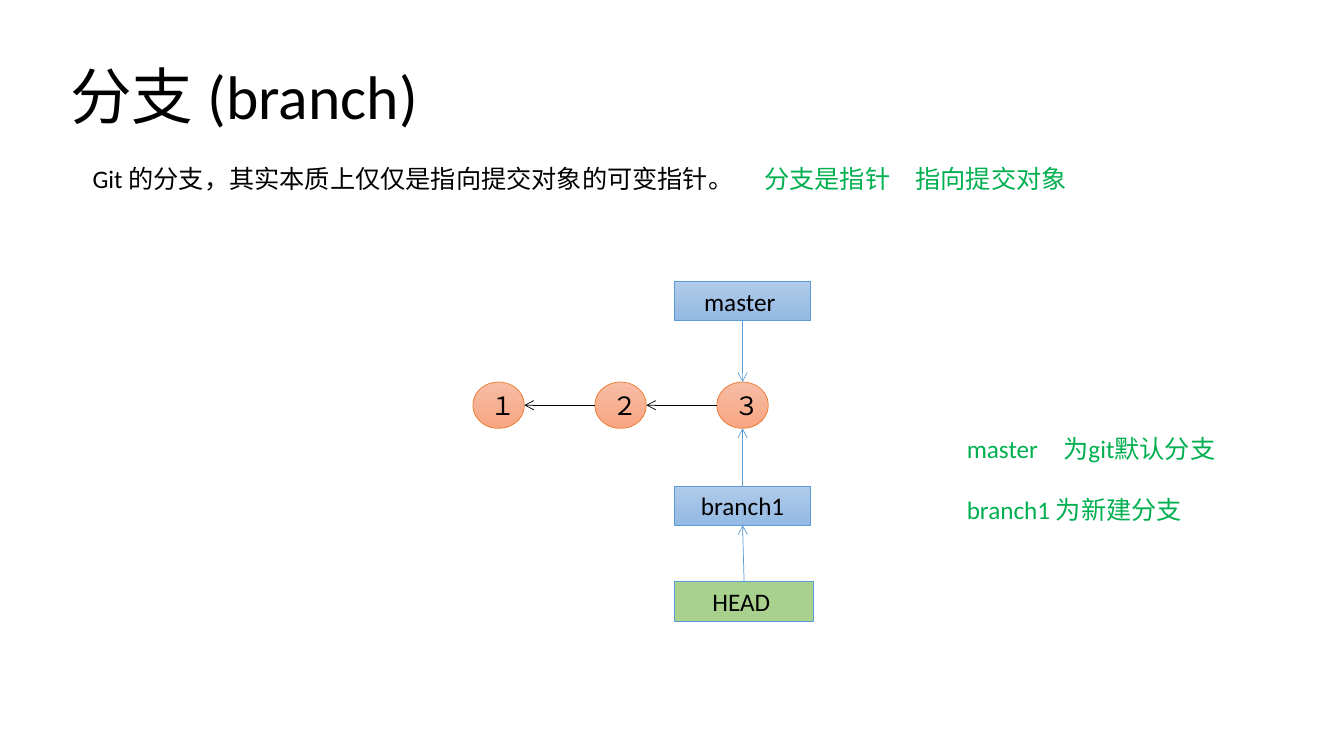
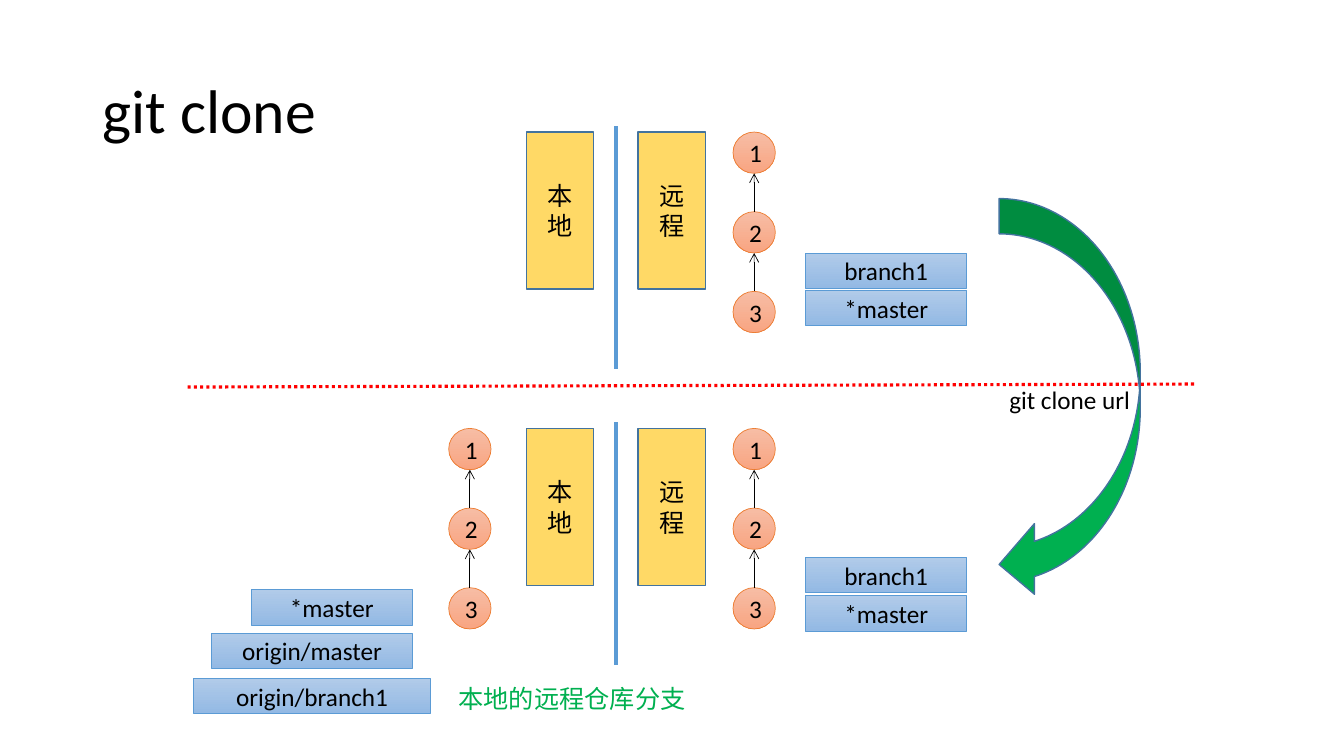
"""Build two slides that explain git branches and git clone."""

from dataclasses import dataclass
from typing import NamedTuple

from lxml.etree import SubElement
from pptx import Presentation
from pptx.dml.color import RGBColor
from pptx.enum.dml import MSO_LINE
from pptx.enum.shapes import MSO_CONNECTOR, MSO_SHAPE
from pptx.enum.text import MSO_ANCHOR, PP_ALIGN
from pptx.oxml.ns import qn
from pptx.slide import Slide
from pptx.util import Inches, Pt


class Look(NamedTuple):
    """Outline shape, fill colours and border of a kind of box."""

    outline: MSO_SHAPE
    fill: tuple[str, ...]
    border: str
    weight: float


class Stroke(NamedTuple):
    """Colour, weight and ending of a line."""

    color: str
    weight: float
    arrow: bool = True
    dash: MSO_LINE | None = None


class Phrase(NamedTuple):
    """Words in one colour."""

    words: str
    color: str


@dataclass(frozen=True)
class Theme:
    """Colours, type sizes and looks shared by the slides."""

    font: str = "Calibri"
    title_size: float = 44
    body_size: float = 18
    text: str = "000000"
    note: str = "00B050"
    commit: Look = Look(MSO_SHAPE.OVAL, ("F7BDA5", "F8A582"), "ED7D31", 0.5)
    branch: Look = Look(MSO_SHAPE.RECTANGLE, ("B1CBE9", "93B9E4"), "5B9BD5", 0.5)
    head: Look = Look(MSO_SHAPE.RECTANGLE, ("A9D18E",), "5B9BD5", 0.5)
    place: Look = Look(MSO_SHAPE.RECTANGLE, ("FFD966",), "43739E", 1)
    clone: Look = Look(MSO_SHAPE.CURVED_LEFT_ARROW, ("00B050",), "43739E", 1)
    parent: Stroke = Stroke("000000", 0.5)
    pointer: Stroke = Stroke("5B9BD5", 0.5)
    wall: Stroke = Stroke("5B9BD5", 3, arrow=False)
    divider: Stroke = Stroke("FF0000", 2.25, arrow=False, dash=MSO_LINE.ROUND_DOT)


THEME = Theme()


@dataclass(frozen=True)
class Box:
    """A labelled box, measured in inches."""

    label: str
    left: float
    top: float
    width: float
    height: float
    look: Look

    @property
    def center(self) -> float:
        """Give the horizontal centre."""
        return self.left + self.width / 2

    @property
    def middle(self) -> float:
        """Give the vertical centre."""
        return self.top + self.height / 2

    @property
    def bottom(self) -> float:
        """Give the lower edge."""
        return self.top + self.height


def apply_format(target, values: dict) -> None:
    """Set each named attribute on the target."""
    for attribute, value in values.items():
        setattr(target, attribute, value)


def add_phrase(paragraph, phrase: Phrase, size: float) -> None:
    """Append a coloured run to the paragraph."""
    run = paragraph.add_run()
    run.text = phrase.words
    apply_format(run.font, {"name": THEME.font, "size": Pt(size)})
    run.font.color.rgb = RGBColor.from_string(phrase.color)


def draw_text(slide: Slide, left: float, top: float, width: float, height: float,
              lines: list[list[Phrase]], size: float = THEME.body_size,
              anchor: MSO_ANCHOR = MSO_ANCHOR.TOP, spacing: float = 1.0) -> None:
    """Draw lines of text, with one line's gap between them."""
    frame = slide.shapes.add_textbox(
        Inches(left), Inches(top), Inches(width), Inches(height)).text_frame
    apply_format(frame, {"word_wrap": True, "vertical_anchor": anchor})
    for index, line in enumerate(lines):
        paragraph = frame.add_paragraph() if index else frame.paragraphs[0]
        paragraph.line_spacing = spacing
        if index:
            paragraph.space_before = Pt(22)
        for phrase in line:
            add_phrase(paragraph, phrase, size)


def draw_title(slide: Slide, left: float, top: float, words: str) -> None:
    """Draw the slide title."""
    draw_text(slide, left, top, 11.5, 1.45, [[Phrase(words, THEME.text)]],
              THEME.title_size, MSO_ANCHOR.MIDDLE, 0.9)


def draw_box(slide: Slide, box: Box) -> None:
    """Draw a box with its centred label."""
    look = box.look
    shape = slide.shapes.add_shape(
        look.outline, Inches(box.left), Inches(box.top),
        Inches(box.width), Inches(box.height))
    shape.shadow.inherit = False
    if len(look.fill) > 1:
        shape.fill.gradient()
        shape.fill.gradient_angle = 270
        for stop, color in zip(shape.fill.gradient_stops, look.fill):
            stop.color.rgb = RGBColor.from_string(color)
    else:
        shape.fill.solid()
        shape.fill.fore_color.rgb = RGBColor.from_string(look.fill[0])
    shape.line.color.rgb = RGBColor.from_string(look.border)
    shape.line.width = Pt(look.weight)
    frame = shape.text_frame
    apply_format(frame, {"word_wrap": True, "vertical_anchor": MSO_ANCHOR.MIDDLE})
    paragraph = frame.paragraphs[0]
    paragraph.alignment = PP_ALIGN.CENTER
    add_phrase(paragraph, Phrase(box.label, THEME.text), THEME.body_size)


def draw_line(slide: Slide, start: tuple[float, float], end: tuple[float, float],
              stroke: Stroke) -> None:
    """Draw a straight line between two points."""
    connector = slide.shapes.add_connector(
        MSO_CONNECTOR.STRAIGHT, *(Inches(value) for value in (*start, *end)))
    line = connector.line
    line.color.rgb = RGBColor.from_string(stroke.color)
    line.width = Pt(stroke.weight)
    if stroke.dash:
        line.dash_style = stroke.dash
    properties = connector.element.spPr
    if stroke.arrow:
        SubElement(properties.find(qn("a:ln")), qn("a:tailEnd"), type="arrow")
    SubElement(properties, qn("a:effectLst"))


def link(slide: Slide, source: Box, target: Box, stroke: Stroke) -> None:
    """Draw an arrow between the facing edges of two boxes."""
    if source.top == target.top:
        start = (source.left, source.middle)
        end = (target.left + target.width, target.middle)
    elif source.top > target.top:
        start, end = (source.center, source.top), (target.center, target.bottom)
    else:
        start, end = (source.center, source.bottom), (target.center, target.top)
    draw_line(slide, start, end, stroke)


def draw_commits(slide: Slide, labels: str, left: float, top: float,
                 width: float, height: float,
                 across: float = 0, down: float = 0) -> list[Box]:
    """Draw evenly spaced commits, each pointing to its parent."""
    commits = [Box(label, left + index * across, top + index * down,
                   width, height, THEME.commit)
               for index, label in enumerate(labels)]
    for commit in commits:
        draw_box(slide, commit)
    for parent, child in zip(commits, commits[1:]):
        link(slide, child, parent, THEME.parent)
    return commits


def draw_history(slide: Slide, left: float, top: float) -> None:
    """Draw a vertical history of three commits."""
    draw_commits(slide, "123", left, top, 0.42, 0.41, down=0.79)


def draw_repositories(slide: Slide, top: float, branch_tops: tuple[float, float]) -> None:
    """Draw the local and remote sides with the remote's commits and branches."""
    draw_line(slide, (6.11, top - 0.06), (6.11, top + 2.35), THEME.wall)
    for label, left in (("本地", 5.22), ("远程", 6.33)):
        draw_box(slide, Box(label, left, top, 0.67, 1.56, THEME.place))
    draw_history(slide, 7.27, top)
    for label, branch_top in zip(("branch1", "*master"), branch_tops):
        draw_box(slide, Box(label, 7.99, branch_top, 1.6, 0.35, THEME.branch))


def build_branch(slide: Slide) -> None:
    """Build the slide on what a branch is."""
    draw_title(slide, 0.6, 0.26, "分支 (branch)")
    draw_text(slide, 0.82, 1.57, 10.24, 0.4, [[
        Phrase("Git 的分支，其实本质上仅仅是指向提交对象的可变指针。　 ", THEME.text),
        Phrase("分支是指针　指向提交对象", THEME.note)]])
    latest = draw_commits(slide, "１２３", 4.69, 3.79, 0.51, 0.46, across=1.21)[-1]
    master = Box("master ", 6.69, 2.79, 1.35, 0.39, THEME.branch)
    branch = Box("branch1", 6.69, 4.82, 1.35, 0.39, THEME.branch)
    head = Box("HEAD ", 6.69, 5.77, 1.38, 0.39, THEME.head)
    for source, target in ((master, latest), (branch, latest), (head, branch)):
        draw_box(slide, source)
        link(slide, source, target, THEME.pointer)
    draw_text(slide, 9.49, 4.25, 3.88, 1.01, [
        [Phrase(words, THEME.note)]
        for words in ("master　为git默认分支", "branch1 为新建分支")])


def build_clone(slide: Slide) -> None:
    """Build the slide on git clone, before and after."""
    draw_title(slide, 0.92, 0.4, "git clone")
    draw_repositories(slide, 1.31, (2.51, 2.88))
    draw_repositories(slide, 4.25, (5.53, 5.91))
    draw_history(slide, 4.45, 4.25)
    for label, left, top, width in (("*master", 2.49, 5.85, 1.6),
                                    ("origin/master", 2.1, 6.28, 1.99),
                                    ("origin/branch1", 1.92, 6.73, 2.35)):
        draw_box(slide, Box(label, left, top, width, 0.35, THEME.branch))
    draw_box(slide, Box("git clone url", 9.91, 1.97, 1.4, 3.98, THEME.clone))
    draw_line(slide, (1.86, 3.84), (11.85, 3.81), THEME.divider)
    draw_text(slide, 4.45, 6.73, 5.03, 0.4,
              [[Phrase("本地的远程仓库分支", THEME.note)]])


def main() -> None:
    """Build and save the presentation."""
    presentation = Presentation()
    apply_format(presentation, {"slide_width": Inches(13.33),
                                "slide_height": Inches(7.5)})
    blank = presentation.slide_layouts[6]
    for build in (build_branch, build_clone):
        build(presentation.slides.add_slide(blank))
    presentation.save("out.pptx")


if __name__ == "__main__":
    main()
